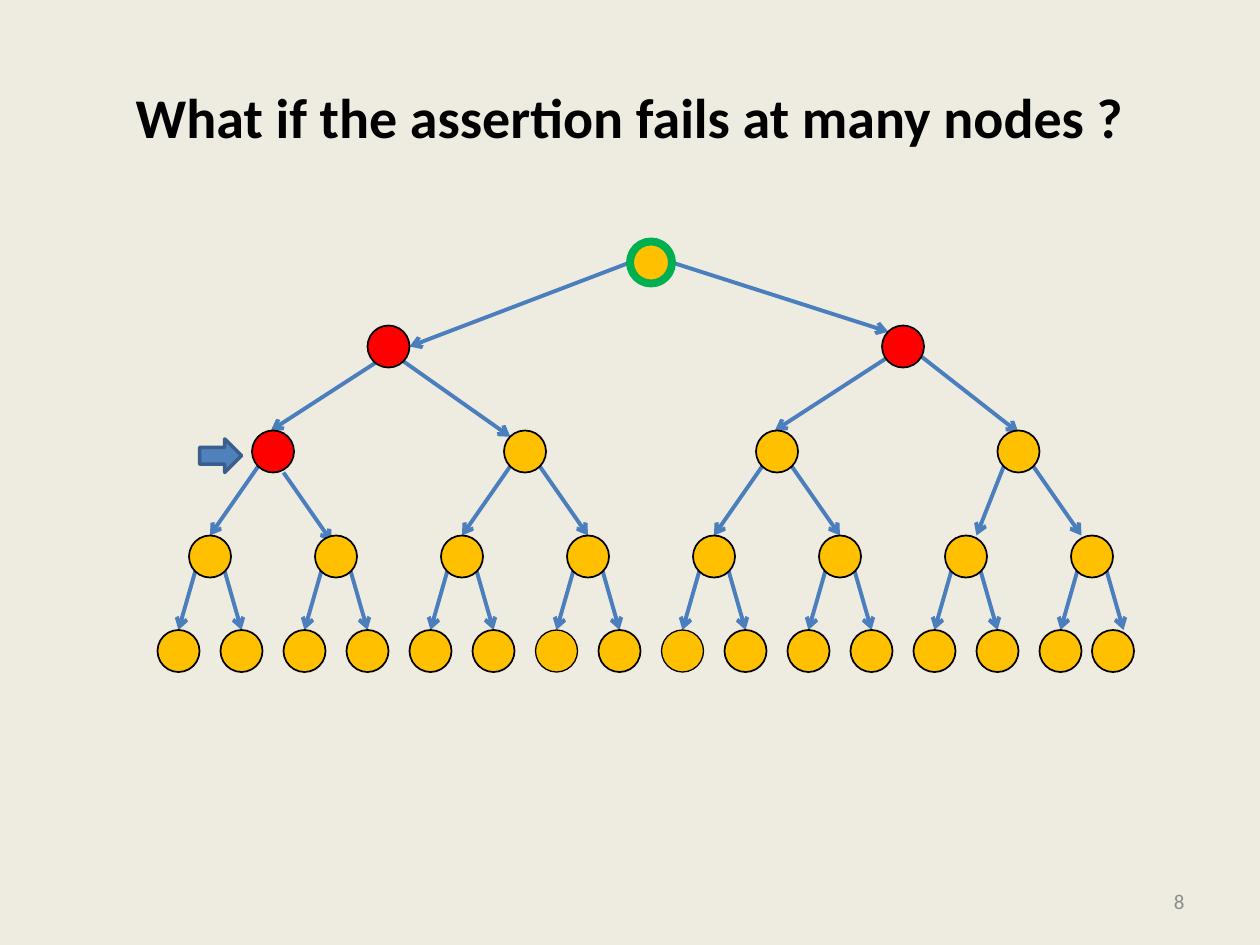
"""Build a slide of a binary tree whose assertion fails at several nodes."""
from lxml import etree
from pptx import Presentation
from pptx.dml.color import RGBColor
from pptx.enum.shapes import MSO_CONNECTOR, MSO_SHAPE
from pptx.enum.text import MSO_ANCHOR, PP_ALIGN
from pptx.oxml.ns import qn
from pptx.util import Pt

OVAL, ARROW = MSO_SHAPE.OVAL, MSO_SHAPE.RIGHT_ARROW
LINE = MSO_CONNECTOR.STRAIGHT
MID = MSO_ANCHOR.MIDDLE
CENTER, RIGHT = PP_ALIGN.CENTER, PP_ALIGN.RIGHT
PX = 7620
SIZE = 40
HEX = {"back": "EEECE1", "text": "000000", "page": "8C8C8C", "edge": "4B7EBC",
       "node": "FFC000", "fail": "FF0000", "rim": "000000", "root": "00B050",
       "mark": "4F81BD", "side": "3A5F8C"}
RGB = {name: RGBColor.from_string(code) for name, code in HEX.items()}


def write(shape, text, size, color, align, bold=False):
    frame = shape.text_frame
    frame.word_wrap = True
    frame.vertical_anchor = MID
    para = frame.paragraphs[0]
    para.alignment = align
    run = para.add_run()
    run.text = text
    font = run.font
    font.name, font.size, font.bold = "Calibri", Pt(size), bold
    font.color.rgb = RGB[color]


def draw(kind, box, fill, line, width):
    shape = slide.shapes.add_shape(kind, *[n * PX for n in box])
    shape.shadow.inherit = False
    shape.fill.solid()
    shape.fill.fore_color.rgb = RGB[fill]
    shape.line.color.rgb = RGB[line]
    shape.line.width = Pt(width)


deck = Presentation()
deck.slide_width, deck.slide_height = 1200 * PX, 900 * PX
slide = deck.slides.add_slide(deck.slide_layouts[5])
slide.background.fill.solid()
slide.background.fill.fore_color.rgb = RGB["back"]

title = slide.shapes.title
title.left, title.top, title.width, title.height = [n * PX for n in (60, 36, 1080, 150)]
write(title, "What if the assertion fails at many nodes ?", 32, "text", CENTER, bold=True)
page = slide.shapes.add_textbox(*[n * PX for n in (860, 834, 280, 48)])
write(page, "8", 12, "page", RIGHT)

pairs = [180 + 120 * i for i in range(8)]
leaves = [150 + 60 * i for i in range(15)] + [1040]

edges = [
    (600, 250, 390, 330), (640, 250, 846, 316),
    (360, 344, 258, 410), (384, 344, 486, 416),
    (846, 340, 738, 410), (878, 340, 970, 412),
    (246, 444, 200, 510), (270, 450, 316, 516),
    (956, 444, 930, 510), (984, 444, 1030, 510),
]
for x in (480, 720):
    edges += [(x + 6, 444, x - 40, 510), (x + 34, 444, x + 80, 510)]
for x in pairs:
    edges += [(x + 6, 544, x - 10, 600), (x + 34, 544, x + 50, 600)]

for edge in edges:
    link = slide.shapes.add_connector(LINE, *[n * PX for n in edge])
    link.line.color.rgb = RGB["edge"]
    link.line.width = Pt(2.25)
    etree.SubElement(link.line._get_or_add_ln(), qn("a:tailEnd"), type="arrow")
    etree.SubElement(link._element.spPr, qn("a:effectLst"))

for i, x in enumerate(leaves):
    draw(OVAL, (x, 600, SIZE, SIZE), "node", "rim", 0.75 if i in (6, 8) else 1)
for row, y, fill in ((pairs, 510, "node"), ((480, 720, 950), 410, "node"),
                     ((240,), 410, "fail"), ((350, 840), 310, "fail")):
    for x in row:
        draw(OVAL, (x, y, SIZE, SIZE), fill, "rim", 1)
draw(OVAL, (600, 230, SIZE, SIZE), "node", "root", 4.5)
draw(ARROW, (190, 418, 40, 32), "mark", "side", 2)

deck.save("out.pptx")
